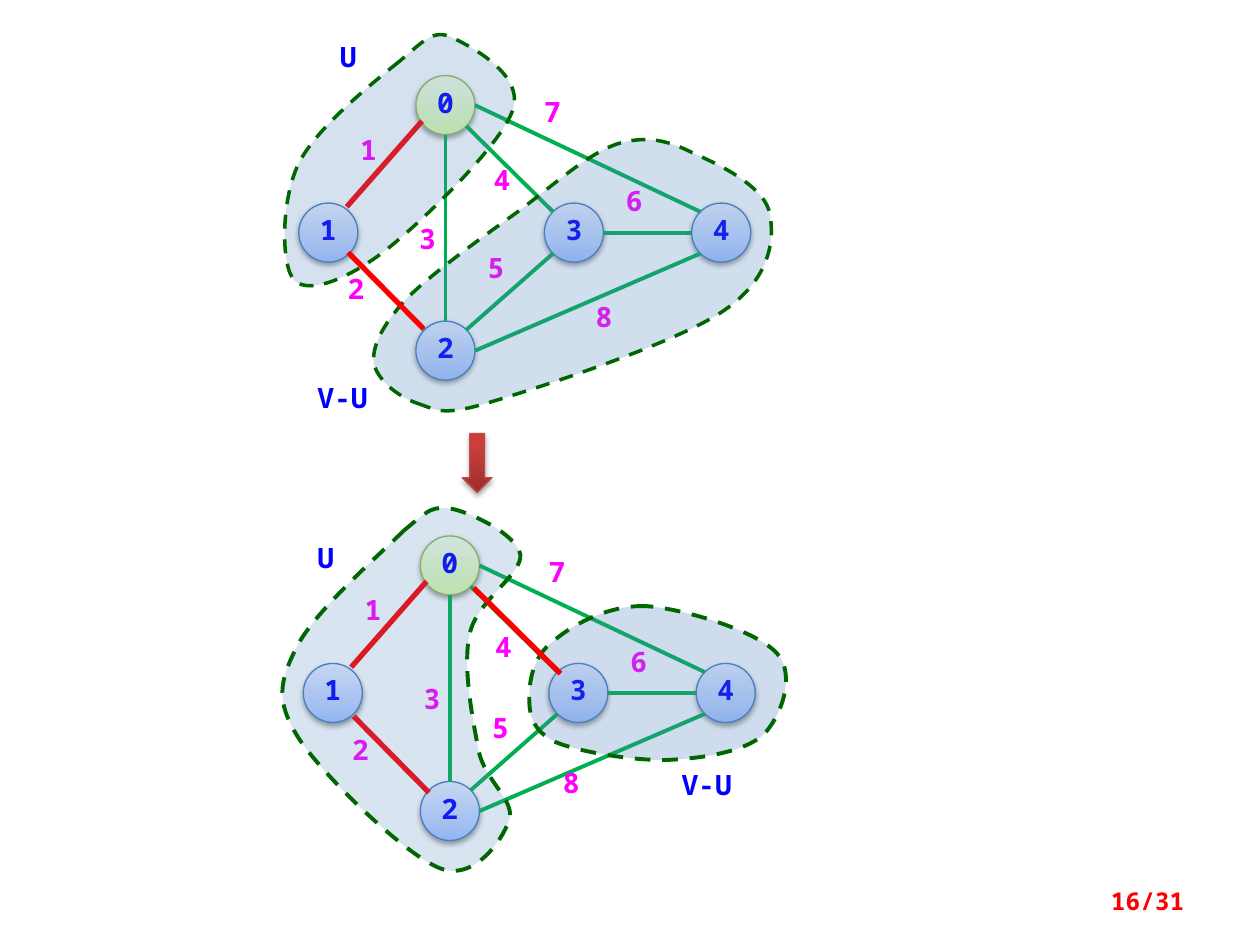
from math import cos, radians, sin

from lxml import etree
from pptx import Presentation
from pptx.dml.color import RGBColor
from pptx.enum import dml, shapes, text
from pptx.oxml import ns
from pptx.util import Cm, Pt

FONT = "Noto Sans Mono"
BLUE = RGBColor(0x00, 0x00, 0xFF)
MAGENTA = RGBColor(0xFF, 0x00, 0xFF)
RED = RGBColor(0xFF, 0x00, 0x00)
GREEN = RGBColor(0x00, 0xB0, 0x50)
REGION_FILL = RGBColor(0x4F, 0x81, 0xBD)
REGION_LINE = RGBColor(0x00, 0x66, 0x00)
NODE_LINE = RGBColor(0x4B, 0x7E, 0xBC)
START_LINE = RGBColor(0x98, 0xB9, 0x55)
ARROW_LINE = RGBColor(0xBF, 0x4C, 0x48)

# Gradient stops (percent, colour), running from bottom to top
NODE_STOPS = [(0, RGBColor(0xA4, 0xC4, 0xFF)), (35, RGBColor(0xBF, 0xD4, 0xFF)),
              (100, RGBColor(0xE6, 0xEE, 0xFF))]
START_STOPS = [(0, RGBColor(0xDA, 0xFD, 0xA7)), (35, RGBColor(0xE4, 0xFC, 0xC2)),
               (100, RGBColor(0xF5, 0xFF, 0xE7))]
ARROW_STOPS = [(0, RGBColor(0x9C, 0x2F, 0x2D)), (80, RGBColor(0xCB, 0x3E, 0x3A)),
               (100, RGBColor(0xCE, 0x3B, 0x37))]

# Graph geometry in centimetres; directions are clockwise degrees
DIAMETER = 1.19
E, SE, S, SW, W, NW, N, NE = range(0, 360, 45)
NODES = {0: (8.98, 2.12), 1: (6.62, 4.69), 2: (8.98, 7.07),
         4: (14.54, 4.69), 3: (11.57, 4.69)}
EDGE_01 = (0, SW, 1, NE)
EDGE_12 = (1, SE, 2, NW)
EDGE_03 = (0, SE, 3, NW)
OTHER_EDGES = [(0, S, 2, N), EDGE_03, (3, SW, 2, NE), (3, E, 4, W),
               (0, E, 4, NW), (2, E, 4, SW)]
WEIGHTS = {1: (7.01, 2.67), 2: (6.76, 5.49), 3: (8.2, 4.47), 5: (9.58, 5.05),
           4: (9.7, 3.28), 6: (12.37, 3.71), 8: (11.76, 6.05), 7: (10.72, 1.91)}
LOWER_WEIGHTS = WEIGHTS | {4: (9.64, 3.42), 8: (11.01, 6.16)}
UPPER = (0, 0)
LOWER = (0.09, 9.28)

# Closed Bezier outlines: a start point, then three points per curve
UPPER_U = [
    (8.05, 1.24), (7.54, 1.65), (6.38, 2.57), (6.02, 3.3),
    (5.66, 4.04), (5.66, 5.38), (5.94, 5.66), (6.25, 5.94), (7.04, 5.61), (7.77, 5.05),
    (8.51, 4.47), (10.11, 2.92), (10.34, 2.21), (10.57, 1.5), (9.5, 0.94), (9.12, 0.76),
    (8.74, 0.58), (8.56, 0.81), (8.05, 1.24)]
UPPER_REST = [
    (8.41, 8.13), (8.81, 8.26), (8.89, 8.41), (9.91, 8.1),
    (10.92, 7.8), (13.64, 6.91), (14.58, 6.27), (15.52, 5.64), (15.62, 4.85), (15.52, 4.32),
    (15.44, 3.78), (14.53, 3.33), (14, 3.1), (13.49, 2.84), (13.06, 2.72), (12.45, 2.9),
    (11.84, 3.1), (11.13, 3.76), (10.41, 4.29), (9.7, 4.8), (8.64, 5.56), (8.15, 6.07),
    (7.7, 6.58), (7.49, 6.99), (7.54, 7.34), (7.62, 7.67), (8.03, 8), (8.41, 8.13)]
LOWER_U = [
    (8.15, 10.69), (7.65, 11.18), (6.35, 12.32), (5.99, 13.03),
    (5.64, 13.72), (5.54, 14.12), (6.02, 14.88), (6.5, 15.62), (8.15, 17.22), (8.86, 17.5),
    (9.55, 17.78), (10.13, 16.94), (10.26, 16.54), (10.41, 16.15), (9.78, 15.75), (9.65, 15.14),
    (9.53, 14.5), (9.32, 13.44), (9.47, 12.78), (9.6, 12.12), (10.54, 11.58), (10.49, 11.18),
    (10.41, 10.77), (9.5, 10.34), (9.12, 10.26), (8.71, 10.21), (8.69, 10.24), (8.15, 10.69)]
LOWER_REST = [
    (13.03, 12.22), (12.27, 12.19), (11.53, 12.6), (11.15, 12.93),
    (10.74, 13.23), (10.67, 13.74), (10.67, 14.07), (10.67, 14.43), (10.74, 14.73), (11.2, 14.96),
    (11.68, 15.16), (12.78, 15.34), (13.46, 15.32), (14.15, 15.29), (15.01, 15.16), (15.39, 14.81),
    (15.75, 14.45), (16.05, 13.61), (15.67, 13.18), (15.29, 12.73), (13.79, 12.27), (13.03, 12.22)]


def add_child(parent, tag, **attributes):
    values = {name: str(value) for name, value in attributes.items()}
    return etree.SubElement(parent, ns.qn(tag), values)


def write_text(frame, content, color, size=16, align=None, spacing=0.8):
    paragraph = frame.paragraphs[0]
    paragraph.alignment = align
    paragraph.line_spacing = spacing
    run = paragraph.add_run()
    run.text = content
    run.font.name = FONT
    run.font.size = Pt(size)
    run.font.bold = True
    run.font.color.rgb = color


def add_label(slide, content, left, top, width, color, height=0.81):
    box = slide.shapes.add_textbox(Cm(left), Cm(top), Cm(width), Cm(height))
    box.text_frame.word_wrap = True
    write_text(box.text_frame, content, color)


def add_glossy_shape(slide, kind, left, top, width, height, stops, line_color, opacity):
    shape = slide.shapes.add_shape(kind, Cm(left), Cm(top), Cm(width), Cm(height))
    shape.line.color.rgb = line_color
    shape.line.width = Pt(0.75)
    # Gradient
    shape.fill.gradient()
    shape.fill.gradient_angle = 90
    properties = shape._element.spPr
    stop_list = properties.find(ns.qn("a:gradFill")).find(ns.qn("a:gsLst"))
    for old_stop in list(stop_list):
        stop_list.remove(old_stop)
    for position, color in stops:
        stop = add_child(stop_list, "a:gs", pos=position * 1000)
        add_child(stop, "a:srgbClr", val=color)
    # Soft shadow below
    shape.shadow.inherit = False
    shadow = add_child(properties.find(ns.qn("a:effectLst")), "a:outerShdw",
                       blurRad=Pt(3.1), dist=Pt(1.6), dir=5400000, rotWithShape=0)
    add_child(add_child(shadow, "a:srgbClr", val="000000"), "a:alpha", val=opacity * 1000)
    return shape


def add_node(slide, number, offset):
    x, y = NODES[number]
    stops, line_color = (NODE_STOPS, NODE_LINE) if number else (START_STOPS, START_LINE)
    node = add_glossy_shape(slide, shapes.MSO_SHAPE.OVAL,
                            x + offset[0] - DIAMETER / 2, y + offset[1] - DIAMETER / 2,
                            DIAMETER, DIAMETER, stops, line_color, 38)
    frame = node.text_frame
    frame.margin_left = frame.margin_right = 0
    frame.vertical_anchor = text.MSO_ANCHOR.MIDDLE
    write_text(frame, str(number), BLUE, align=text.PP_ALIGN.CENTER)


def rim_point(number, direction, offset):
    x, y = NODES[number]
    angle = radians(direction)
    return (Cm(x + offset[0] + DIAMETER / 2 * cos(angle)),
            Cm(y + offset[1] + DIAMETER / 2 * sin(angle)))


def add_edge(slide, edge, offset, color=GREEN, width=2.25, shift=(0, 0)):
    place = (offset[0] + shift[0], offset[1] + shift[1])
    start, leaving, end, arriving = edge
    connector = slide.shapes.add_connector(
        shapes.MSO_CONNECTOR.STRAIGHT,
        *rim_point(start, leaving, place), *rim_point(end, arriving, place))
    connector.line.color.rgb = color
    connector.line.width = Pt(width)
    add_child(connector._element.spPr, "a:effectLst")


def add_tree_edge(slide, edge, offset, shift):
    add_edge(slide, edge, offset, RED, 3, shift)


def add_region(slide, points, opacity, line_width):
    start, *others = [(Cm(x), Cm(y)) for x, y in points]
    builder = slide.shapes.build_freeform(*start)
    builder.add_line_segments(others, close=True)
    region = builder.convert_to_shape()
    # Turn every three segments into one Bezier curve
    segments = region._element.xpath(".//a:lnTo")
    for first in range(0, len(segments), 3):
        curve = etree.Element(ns.qn("a:cubicBezTo"))
        segments[first].addprevious(curve)
        for segment in segments[first:first + 3]:
            curve.append(segment[0])
            segment.getparent().remove(segment)
    region.shadow.inherit = False
    region.fill.solid()
    region.fill.fore_color.rgb = REGION_FILL
    color = region._element.spPr.find(ns.qn("a:solidFill"))[0]
    add_child(color, "a:alpha", val=opacity * 1000)
    region.line.color.rgb = REGION_LINE
    region.line.width = Pt(line_width)
    region.line.dash_style = dml.MSO_LINE.DASH


def add_graph(slide, offset, edges, weights):
    for number in NODES:
        add_node(slide, number, offset)
    for edge in edges:
        add_edge(slide, edge, offset)
    for weight, (left, top) in weights.items():
        add_label(slide, str(weight), left + offset[0], top + offset[1], 1.19, MAGENTA)
    add_tree_edge(slide, EDGE_01, offset, (-0.05, -0.1))


def add_page_number(slide, content):
    box = slide.shapes.add_textbox(Cm(18.21), Cm(17.65), Cm(5.92), Cm(1.02))
    box.text_frame.word_wrap = True
    box.text_frame.vertical_anchor = text.MSO_ANCHOR.MIDDLE
    write_text(box.text_frame, content, RED, 14, text.PP_ALIGN.RIGHT, 1.0)


def main():
    presentation = Presentation()
    presentation.slide_width, presentation.slide_height = Cm(25.4), Cm(19.05)
    slide = presentation.slides.add_slide(presentation.slide_layouts[6])

    # Upper graph: edge 2 is chosen
    add_graph(slide, UPPER, [EDGE_12] + OTHER_EDGES, WEIGHTS)
    add_label(slide, "U", 6.6, 0.81, 0.99, BLUE)
    add_label(slide, "V-U", 6.15, 7.67, 1.78, BLUE)
    add_region(slide, UPPER_U, 23, 2)
    add_region(slide, UPPER_REST, 26, 2)
    add_tree_edge(slide, EDGE_12, UPPER, (-0.02, -0.02))

    # Lower graph: edge 4 is chosen
    add_graph(slide, LOWER, OTHER_EDGES, LOWER_WEIGHTS)
    add_tree_edge(slide, EDGE_12, LOWER, (0, 0.05))
    add_label(slide, "U", 6.15, 10.9, 0.99, BLUE)
    add_label(slide, "V-U", 13.49, 15.47, 1.78, BLUE)
    add_region(slide, LOWER_U, 21, 2.25)
    add_region(slide, LOWER_REST, 27, 2.25)
    add_tree_edge(slide, EDGE_03, LOWER, (0.06, 0.03))

    # Step arrow and page number
    add_glossy_shape(slide, shapes.MSO_SHAPE.DOWN_ARROW, 9.32, 8.74, 0.6, 1.19,
                     ARROW_STOPS, ARROW_LINE, 35)
    add_page_number(slide, "16/31")
    presentation.save("out.pptx")


if __name__ == "__main__":
    main()
